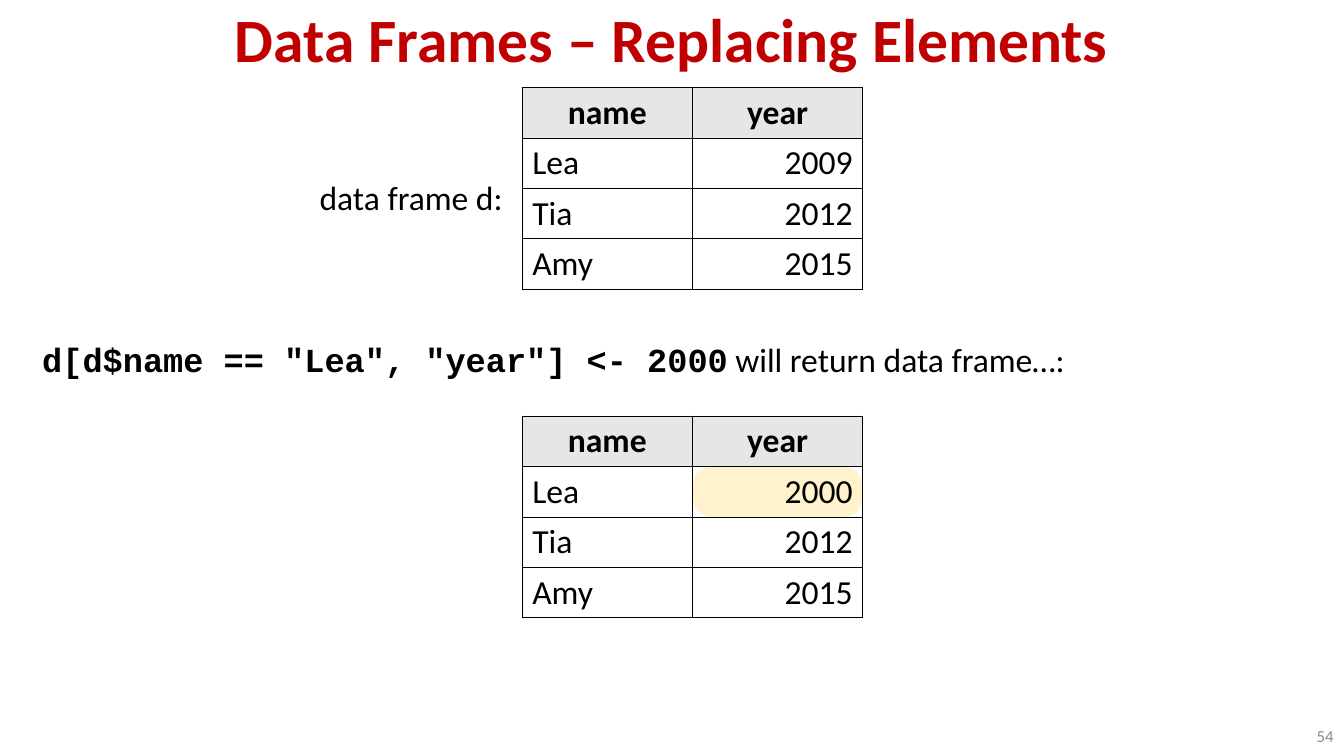
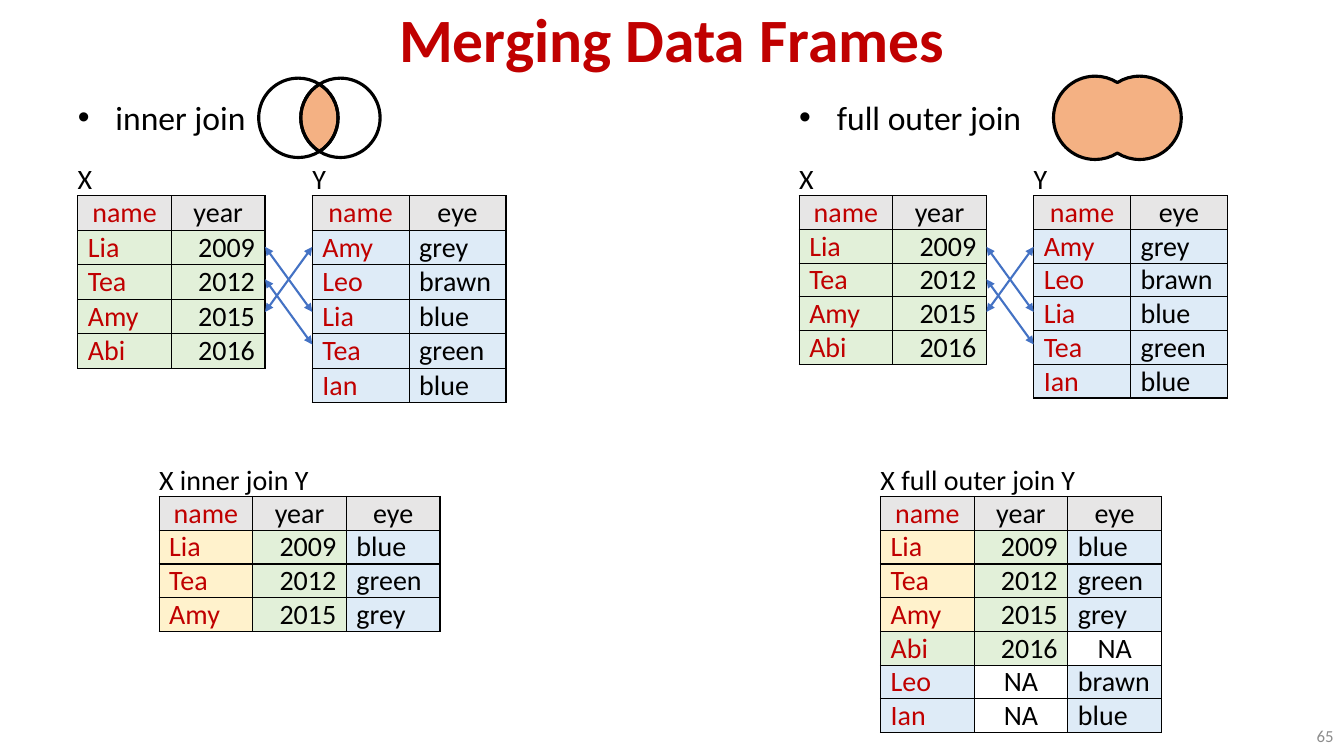
from dataclasses import dataclass
from itertools import pairwise
from math import acos, cos, pi, sin, tan

from lxml.etree import SubElement
from pptx import Presentation
from pptx.dml.color import RGBColor
from pptx.enum.shapes import MSO_CONNECTOR, MSO_SHAPE
from pptx.enum.text import MSO_ANCHOR, MSO_AUTO_SIZE, PP_ALIGN
from pptx.oxml.ns import qn
from pptx.util import Cm, Pt


@dataclass(frozen=True)
class Theme:
    font: str = "Calibri"
    code_font: str = "Courier New"
    black: str = "000000"
    red: str = "C00000"
    muted: str = "8C8C8C"
    arrow: str = "4472C4"
    header: str = "E7E6E6"
    green: str = "E2F0D9"
    blue: str = "DEEBF7"
    yellow: str = "FFF2CC"
    orange: str = "F4B183"
    title_size: int = 44
    body_size: int = 24
    small_size: int = 20
    number_size: int = 12


THEME = Theme()
WIDTH, HEIGHT = 33.87, 19.05
MISSING = "NA"


def style(paragraph, size, color=THEME.black, bold=False, align=PP_ALIGN.LEFT):
    paragraph.alignment = align
    for span in paragraph.runs:
        span.font.name = THEME.font
        span.font.size = Pt(size)
        span.font.bold = bold
        span.font.color.rgb = RGBColor.from_string(color)


def indent(paragraph, left, first, bullet=None):
    properties = paragraph._p.get_or_add_pPr()
    properties.set("marL", str(Cm(left)))
    properties.set("indent", str(Cm(first)))
    if bullet:
        SubElement(properties, qn("a:buChar"), char=bullet)
    else:
        SubElement(properties, qn("a:buNone"))
    paragraph.space_before = Pt(0)


def place(shape, left, top, width, height):
    shape.left, shape.top = Cm(left), Cm(top)
    shape.width, shape.height = Cm(width), Cm(height)


def prepare_frame(shape, anchor=MSO_ANCHOR.TOP, inset=None):
    frame = shape.text_frame
    frame.word_wrap = True
    frame.auto_size = MSO_AUTO_SIZE.NONE
    frame.vertical_anchor = anchor
    if inset is not None:
        frame.margin_left = frame.margin_right = Cm(inset)
        frame.margin_top = frame.margin_bottom = Cm(inset)
    return frame


def border(cell):
    properties = cell._tc.get_or_add_tcPr()
    for side in ("lnL", "lnR", "lnT", "lnB"):
        line = SubElement(properties, qn(f"a:{side}"), w=str(Pt(1)))
        fill = SubElement(line, qn("a:solidFill"))
        SubElement(fill, qn("a:srgbClr"), val=THEME.black)


def paint(fill, color):
    if color:
        fill.solid()
        fill.fore_color.rgb = RGBColor.from_string(color)
    else:
        fill.background()


def cell_align(text, is_header):
    if is_header or text == MISSING:
        return PP_ALIGN.CENTER
    return PP_ALIGN.RIGHT if text.isdigit() else PP_ALIGN.LEFT


def arc(center_x, center_y, radius, start, end):
    """Start point, then three Bezier points for each piece between quarter turns."""
    quarters = [turn * pi / 2 for turn in range(-4, 5)]
    inner = [turn for turn in quarters if min(start, end) < turn < max(start, end)]
    angles = [start, *sorted(inner, reverse=start > end), end]

    def point(angle, pull=0.0):
        return (Cm(center_x + radius * (cos(angle) - pull * sin(angle))),
                Cm(center_y + radius * (sin(angle) + pull * cos(angle))))

    points = [point(start)]
    for first, last in pairwise(angles):
        pull = 4 / 3 * tan((last - first) / 4)
        points += [point(first, pull), point(last, -pull), point(last)]
    return points


def bend(shape):
    """Turn each three line segments of a freeform into one Bezier curve."""
    segments = list(shape.element.iter(qn("a:lnTo")))
    for first, second, third in zip(*[iter(segments)] * 3):
        curve = first.makeelement(qn("a:cubicBezTo"))
        first.addprevious(curve)
        for segment in (first, second, third):
            curve.append(segment[0])
            segment.getparent().remove(segment)


class SlideWriter:
    def __init__(self):
        self.deck = Presentation()
        self.deck.slide_width, self.deck.slide_height = Cm(WIDTH), Cm(HEIGHT)
        self.page = None

    def new_page(self, layout, title, number):
        self.page = self.deck.slides.add_slide(self.deck.slide_layouts[layout])
        heading = self.page.shapes.title
        place(heading, 0, 0, WIDTH, 2.03)
        frame = prepare_frame(heading, MSO_ANCHOR.BOTTOM)
        frame.text = title
        frame.paragraphs[0].line_spacing = 0.9
        style(frame.paragraphs[0], THEME.title_size, THEME.red, True, PP_ALIGN.CENTER)
        self.text(number, 31.01, 18.03, 2.85, 1.02, THEME.number_size, THEME.muted,
                  PP_ALIGN.RIGHT, MSO_ANCHOR.MIDDLE, 0.25)

    def text(self, words, left, top, width, height, size, color=THEME.black,
             align=PP_ALIGN.LEFT, anchor=MSO_ANCHOR.TOP, inset=0):
        box = self.page.shapes.add_textbox(Cm(left), Cm(top), Cm(width), Cm(height))
        frame = prepare_frame(box, anchor, inset)
        frame.text = words
        style(frame.paragraphs[0], size, color, align=align)

    def body(self, index, left, top, width, height, inset=None):
        """Move a body placeholder and return its text frame."""
        holder = self.page.placeholders[index]
        place(holder, left, top, width, height)
        return prepare_frame(holder, inset=inset)

    def bullet(self, index, words, left, top, width):
        frame = self.body(index, left, top, width, 1.02, 0)
        frame.text = words
        indent(frame.paragraphs[0], 0.95, -0.95, "•")
        style(frame.paragraphs[0], THEME.body_size)

    def table(self, rows, left, top, column, row, size, fills=None,
              name_color=THEME.black, bold_header=False, inset=0.0, leading=1.0):
        """Draw rows, the first being the header; fills holds one list per later row."""
        count = len(rows[0])
        table = self.page.shapes.add_table(
            len(rows), count, Cm(left), Cm(top),
            Cm(column * count), Cm(row * len(rows))).table
        table.first_row = table.horz_banding = False
        for table_column in table.columns:
            table_column.width = Cm(column)
        for y, values in enumerate(rows):
            table.rows[y].height = Cm(row)
            for x, value in enumerate(values):
                cell = table.cell(y, x)
                cell.margin_top = cell.margin_bottom = Cm(inset)
                cell.vertical_anchor = MSO_ANCHOR.MIDDLE
                cell.text = value
                paragraph = cell.text_frame.paragraphs[0]
                paragraph.line_spacing = leading
                style(paragraph, size, name_color if x == 0 else THEME.black,
                      bold_header and y == 0, cell_align(value, y == 0))
                border(cell)
                body_fill = fills[y - 1][x] if fills else None
                paint(cell.fill, body_fill if y else THEME.header)

    def captioned_table(self, caption, rows, fills, left, top, column, row):
        self.text(caption, left, top - 0.85, column * len(rows[0]), 0.85,
                  THEME.small_size)
        self.table(rows, left, top, column, row, THEME.small_size, fills, THEME.red,
                   leading=0.98)

    def highlight(self, left, top, width, height):
        shape = self.page.shapes.add_shape(
            MSO_SHAPE.ROUNDED_RECTANGLE, Cm(left), Cm(top), Cm(width), Cm(height))
        shape.adjustments[0] = 0.38
        shape.shadow.inherit = False
        paint(shape.fill, THEME.yellow)
        shape.line.fill.background()

    def double_arrow(self, x1, y1, x2, y2):
        arrow = self.page.shapes.add_connector(
            MSO_CONNECTOR.STRAIGHT, Cm(x1), Cm(y1), Cm(x2), Cm(y2))
        arrow.line.color.rgb = RGBColor.from_string(THEME.arrow)
        arrow.line.width = Pt(1.5)
        properties = arrow.element.spPr
        line = properties.find(qn("a:ln"))
        for end in ("headEnd", "tailEnd"):
            SubElement(line, qn(f"a:{end}"), type="triangle")
        SubElement(properties, qn("a:effectLst"))

    def region(self, first_arc, second_arc, fill=None):
        """Outline two arcs, the second starting where the first ends."""
        points = first_arc + second_arc[1:]
        builder = self.page.shapes.build_freeform(*points[0], scale=1.0)
        builder.add_line_segments(points[1:], close=True)
        shape = builder.convert_to_shape()
        bend(shape)
        shape.shadow.inherit = False
        paint(shape.fill, fill)
        shape.line.color.rgb = RGBColor.from_string(THEME.black)
        shape.line.width = Pt(2.25)

    def venn_overlap(self, x, y, radius, offset):
        """Two circles, offset either way from x, with their overlap filled."""
        angle = acos(offset / radius)
        left, right = (x - offset, y, radius), (x + offset, y, radius)
        self.region(arc(*left, -angle, angle),
                    arc(*right, pi - angle, pi + angle), THEME.orange)
        self.region(arc(*left, angle, 2 * pi - angle),
                    arc(*right, pi + angle, pi - angle))
        self.region(arc(*right, angle - pi, pi - angle),
                    arc(*left, angle, -angle))

    def venn_union(self, x, y, radius, offset):
        """The joint outline of two circles, filled."""
        angle = acos(offset / radius)
        self.region(arc(x - offset, y, radius, angle, 2 * pi - angle),
                    arc(x + offset, y, radius, angle - pi, pi - angle), THEME.orange)


def replacing_slide(writer):
    writer.new_page(1, "Data Frames – Replacing Elements", "54")
    frame = writer.body(1, 0.81, 1.88, 31.98, 14.22)
    frame.margin_top = Cm(2.57)
    frame.text = "data frame d:"
    label, command = frame.paragraphs[0], frame.add_paragraph()
    for words in ('d[d$name == "Lea", "year"] <- 2000', " will return data frame…:"):
        command.add_run().text = words
    for paragraph, left in ((label, 6.99), (command, 0)):
        indent(paragraph, left, 0)
        style(paragraph, THEME.body_size)
    command.space_before = Pt(87)
    code = command.runs[0].font
    code.name, code.bold = THEME.code_font, True

    left, column, row = 13.16, 4.29, 1.27
    result_top = 10.49
    writer.highlight(left + column, result_top + row, column, row)
    for top, lea_year in ((2.21, "2009"), (result_top, "2000")):
        rows = [("name", "year"), ("Lea", lea_year), ("Tia", "2012"), ("Amy", "2015")]
        writer.table(rows, left, top, column, row, THEME.body_size,
                     bold_header=True, inset=0.1)


YEARS = {"Lia": "2009", "Tea": "2012", "Amy": "2015", "Abi": "2016"}
EYES = {"Amy": "grey", "Leo": "brawn", "Lia": "blue", "Tea": "green", "Ian": "blue"}


def joined(names):
    """Rows of the joined table, and fills that tell which table a cell came from."""
    rows, fills = [("name", "year", "eye")], []
    for name in names:
        rows.append((name, YEARS.get(name, MISSING), EYES.get(name, MISSING)))
        year_fill = THEME.green if name in YEARS else None
        eye_fill = THEME.blue if name in EYES else None
        name_fill = THEME.yellow if year_fill and eye_fill else year_fill or eye_fill
        fills.append((name_fill, year_fill, eye_fill))
    return rows, fills


def join_panel(writer, left, caption, names, source_row):
    top, x_column, y_column = 4.93, 2.36, 2.44
    y_left = left + 5.91
    for label, heading, data, fill, table_left, column in (
            ("X", "year", YEARS, THEME.green, left, x_column),
            ("Y", "eye", EYES, THEME.blue, y_left, y_column)):
        rows = [("name", heading), *data.items()]
        writer.captioned_table(label, rows, [(fill, fill)] * len(data),
                               table_left, top, column, source_row)
    y_order = list(EYES)
    for position, name in enumerate(YEARS):
        if name in EYES:
            writer.double_arrow(left + 2 * x_column, 6.22 + 0.82 * position,
                                y_left, 6.22 + 0.82 * y_order.index(name))
    writer.captioned_table(caption, *joined(names), left + 2.05, 12.51, x_column, 0.85)


def merging_slide(writer):
    writer.new_page(3, "Merging Data Frames", "65")
    inner_left, outer_left = 1.96, 20.14
    shared = [name for name in YEARS if name in EYES]
    everyone = [*YEARS, *(name for name in EYES if name not in YEARS)]
    writer.bullet(1, "inner join", inner_left, 2.44, 4.5)
    writer.bullet(2, "full outer join", outer_left, 2.44, 6)
    join_panel(writer, inner_left, "X inner join Y", shared, 0.87)
    join_panel(writer, outer_left, "X full outer join Y", everyone, 0.85)
    writer.venn_overlap(8.05, 2.97, 1, 0.53)
    writer.venn_union(28.16, 2.97, 1.05, 0.56)


def main():
    writer = SlideWriter()
    replacing_slide(writer)
    merging_slide(writer)
    writer.deck.save("out.pptx")


if __name__ == "__main__":
    main()
